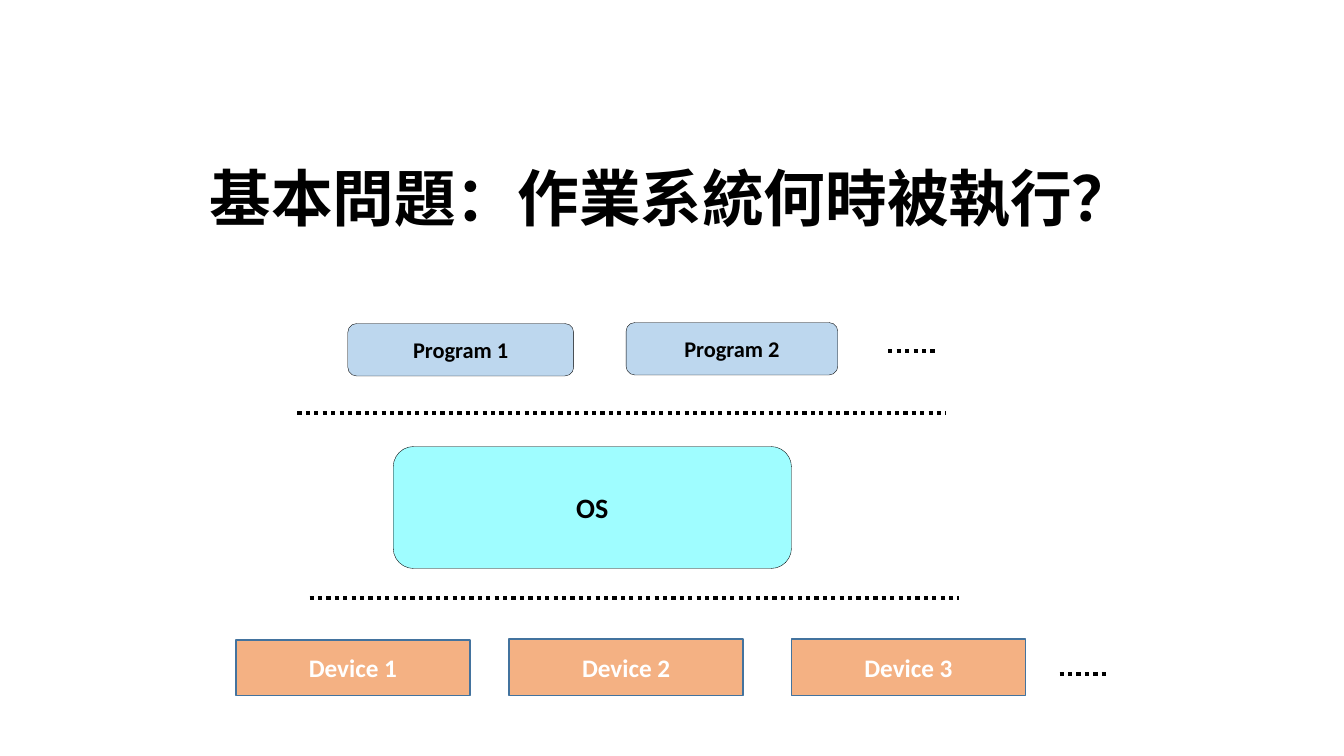
import dataclasses

import lxml.etree
import pptx
import pptx.dml.color
import pptx.enum.dml
import pptx.enum.shapes
import pptx.enum.text
import pptx.oxml.ns
import pptx.util

EMU_PER_PX = 9144
SHAPES = pptx.enum.shapes.MSO_SHAPE


@dataclasses.dataclass(frozen=True)
class Theme:
    font: str = "Calibri"
    ink: str = "000000"
    light: str = "FFFFFF"
    program: str = "BDD7EE"
    system: str = "9FFDFF"
    device: str = "F4B183"
    device_border: str = "43739E"
    title_size: int = 44
    program_size: int = 16
    system_size: int = 20
    device_size: int = 18
    thin: float = 0.25
    border: float = 1
    dotted: float = 3


THEME = Theme()


def px(length):
    return pptx.util.Emu(length * EMU_PER_PX)


def color(value):
    return pptx.dml.color.RGBColor.from_string(value)


def write_text(shape, text, size, text_color):
    frame = shape.text_frame
    frame.word_wrap = True
    frame.vertical_anchor = pptx.enum.text.MSO_ANCHOR.MIDDLE
    paragraph = frame.paragraphs[0]
    paragraph.text = text
    paragraph.alignment = pptx.enum.text.PP_ALIGN.CENTER
    paragraph.font.name = THEME.font
    paragraph.font.size = pptx.util.Pt(size)
    paragraph.font.bold = True
    paragraph.font.color.rgb = color(text_color)


def add_block(slide, kind, box, text, size, fill, text_color, border, width):
    shape = slide.shapes.add_shape(kind, *map(px, box))
    shape.shadow.inherit = False
    shape.fill.solid()
    shape.fill.fore_color.rgb = color(fill)
    shape.line.color.rgb = color(border)
    shape.line.width = pptx.util.Pt(width)
    write_text(shape, text, size, text_color)


def add_dotted_line(slide, left, top, length):
    line = slide.shapes.add_connector(
        pptx.enum.shapes.MSO_CONNECTOR.STRAIGHT,
        px(left), px(top), px(left + length), px(top))
    line.line.color.rgb = color(THEME.ink)
    line.line.width = pptx.util.Pt(THEME.dotted)
    line.line.dash_style = pptx.enum.dml.MSO_LINE.ROUND_DOT
    properties = line._element.spPr
    lxml.etree.SubElement(properties, pptx.oxml.ns.qn("a:effectLst"))


def add_title(slide, box):
    title = slide.shapes.add_textbox(*map(px, box))
    write_text(title, "基本問題：作業系統何時被執行？", THEME.title_size, THEME.ink)


def add_programs(slide, box):
    left, top, width, height = box
    programs = [(0, 1, 224), (276, 0, 210)]
    for number, (offset, drop, block_width) in enumerate(programs, 1):
        add_block(slide, SHAPES.ROUNDED_RECTANGLE,
                  (left + offset, top + drop, block_width, height),
                  f"Program {number}", THEME.program_size, THEME.program,
                  THEME.ink, THEME.ink, THEME.thin)
    add_dotted_line(slide, left + width - 49, top + 28, 49)


def add_system(slide, box):
    left, top, width, height = box
    add_dotted_line(slide, left - 95, top - 33, 643)
    add_dotted_line(slide, left - 83, top + height + 29, 644)
    add_block(slide, SHAPES.ROUNDED_RECTANGLE, box, "OS", THEME.system_size,
              THEME.system, THEME.ink, THEME.ink, THEME.thin)


def add_devices(slide, box):
    left, top, width, height = box
    devices = [(0, 1), (271, 0), (551, 0)]
    for number, (offset, drop) in enumerate(devices, 1):
        add_block(slide, SHAPES.RECTANGLE,
                  (left + offset, top + drop, 232, height - drop),
                  f"Device {number}", THEME.device_size, THEME.device,
                  THEME.light, THEME.device_border, THEME.border)
    add_dotted_line(slide, left + width - 49, top + 35, 49)


def main():
    presentation = pptx.Presentation()
    presentation.slide_width = px(1333)
    presentation.slide_height = px(750)
    slide = presentation.slides.add_slide(presentation.slide_layouts[6])
    add_title(slide, (100, 115, 1133, 161))
    add_programs(slide, (345, 320, 585, 52))
    add_system(slide, (390, 443, 395, 121))
    add_devices(slide, (234, 634, 866, 56))
    presentation.save("out.pptx")


if __name__ == "__main__":
    main()
